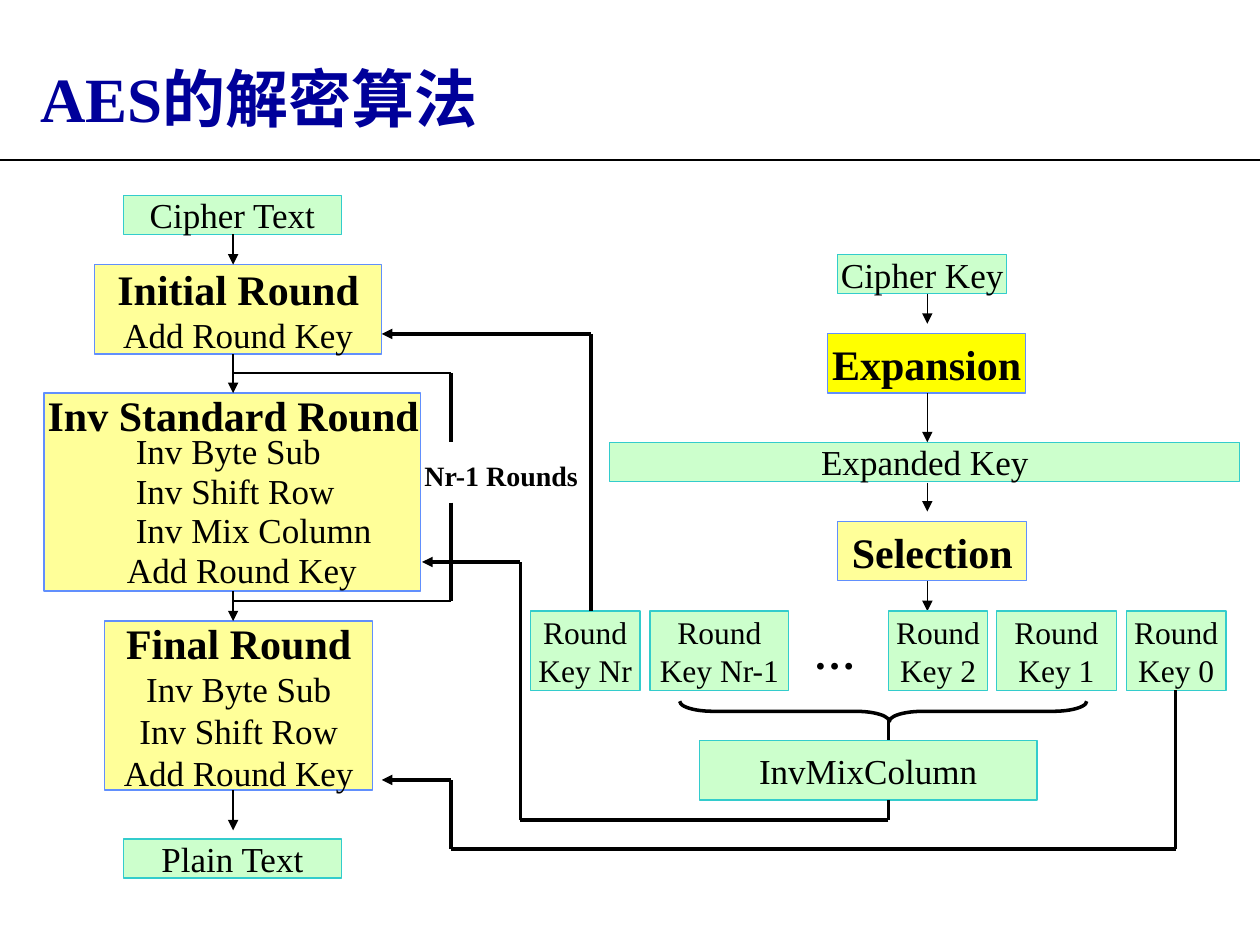
from itertools import pairwise

from lxml import etree
from pptx import Presentation
from pptx import util as u
from pptx.dml.color import RGBColor
from pptx.enum import shapes, text
from pptx.oxml import ns

BLACK = RGBColor(0x00, 0x00, 0x00)
NAVY = RGBColor(0x00, 0x00, 0x9A)
MINT = RGBColor(0xCC, 0xFF, 0xCC)
TEAL = RGBColor(0x33, 0xCC, 0xCC)
CREAM = RGBColor(0xFF, 0xFF, 0x99)
YELLOW = RGBColor(0xFF, 0xFF, 0x00)
BLUE = RGBColor(0x61, 0x8F, 0xFD)

FONT = "Times New Roman"
THIN, THICK = 0.75, 2
HEADING, BODY, KEY = 24, 20, 18


class Diagram:
    """Holds the style and the slide being drawn."""

    def __init__(self, slide):
        self.slide = slide
        self.shapes = slide.shapes

    def style(self, para, size, bold=False, color=BLACK):
        para.font.name = FONT
        para.font.size = u.Pt(size)
        para.font.bold = bold
        para.font.color.rgb = color

    def title(self, words, left, top, width, height):
        title = self.shapes.title
        title.left, title.top = u.Inches(left), u.Inches(top)
        title.width, title.height = u.Inches(width), u.Inches(height)
        frame = title.text_frame
        frame.text = words
        frame.word_wrap = True
        frame.auto_size = text.MSO_AUTO_SIZE.NONE
        frame.vertical_anchor = text.MSO_ANCHOR.TOP
        frame.paragraphs[0].alignment = text.PP_ALIGN.LEFT
        self.style(frame.paragraphs[0], 36, True, NAVY)

    def label(self, words, left, top, width, height, size=BODY, bold=False):
        box = self.shapes.add_textbox(*map(u.Inches, (left, top, width, height)))
        frame = box.text_frame
        frame.text = words
        frame.word_wrap = True
        self.style(frame.paragraphs[0], size, bold)

    def box(self, left, top, width, height, fill, border, heading=None, lines=(), size=BODY):
        box = self.shapes.add_shape(
            shapes.MSO_SHAPE.RECTANGLE, *map(u.Inches, (left, top, width, height)))
        box.shadow.inherit = False
        box.fill.solid()
        box.fill.fore_color.rgb = fill
        box.line.color.rgb = border
        box.line.width = u.Pt(THIN)
        frame = box.text_frame
        frame.word_wrap = False
        frame.vertical_anchor = text.MSO_ANCHOR.MIDDLE
        entries = [(heading, HEADING, True)] if heading else []
        entries += [(line, size, False) for line in lines]
        for index, (words, points, bold) in enumerate(entries):
            para = frame.add_paragraph() if index else frame.paragraphs[0]
            para.text = words
            para.alignment = text.PP_ALIGN.CENTER
            self.style(para, points, bold)

    def data(self, left, top, width, height, *lines, size=BODY):
        self.box(left, top, width, height, MINT, TEAL, lines=lines, size=size)

    def step(self, left, top, width, height, heading=None, *lines, fill=CREAM):
        self.box(left, top, width, height, fill, BLUE, heading, lines)

    def route(self, *points, weight=THICK, arrow=False):
        """Joins the points with straight lines; an arrow ends the last one."""
        for (x1, y1), (x2, y2) in pairwise(points):
            line = self.shapes.add_connector(
                shapes.MSO_CONNECTOR.STRAIGHT, *map(u.Inches, (x1, y1, x2, y2)))
            line.line.color.rgb = BLACK
            line.line.width = u.Pt(weight)
            if arrow and (x2, y2) == points[-1]:
                etree.SubElement(line.line._get_or_add_ln(), ns.qn("a:tailEnd"), type="triangle")
            etree.SubElement(line._element.spPr, ns.qn("a:effectLst"))

    def brace(self, left, top, width, height):
        brace = self.shapes.add_shape(
            shapes.MSO_SHAPE.LEFT_BRACE, *map(u.Inches, (left, top, width, height)))
        brace.rotation = 270
        brace.adjustments[0] = 1.67
        brace.adjustments[1] = 0.515
        brace.shadow.inherit = False
        brace.fill.background()
        brace.line.color.rgb = BLACK
        brace.line.width = u.Pt(THICK)


def main():
    deck = Presentation()
    deck.slide_width, deck.slide_height = u.Inches(10), u.Inches(7.5)
    page = Diagram(deck.slides.add_slide(deck.slide_layouts[5]))

    # Title and rule
    page.title("AES的解密算法", 0.22, 0.42, 4, 0.7)
    page.route((0, 1.27), (10, 1.27), weight=1.5)

    # Decryption rounds
    page.data(0.98, 1.55, 1.73, 0.31, "Cipher Text")
    page.step(0.75, 2.1, 2.28, 0.71, "Initial Round", "Add Round Key")
    page.step(0.35, 3.12, 2.99, 1.57)
    page.label("Inv Standard Round", 0.28, 3.04, 3.3, 0.5, HEADING, True)
    operations = [("Inv Byte Sub", 0.98), ("Inv Shift Row", 0.98),
                  ("Inv Mix Column", 0.98), ("Add Round Key", 0.91)]
    for row, (words, left) in enumerate(operations):
        page.label(words, left, 3.36 + row * 0.315, 2.2, 0.44)
    page.step(0.83, 4.93, 2.13, 1.34, "Final Round",
              "Inv Byte Sub", "Inv Shift Row", "Add Round Key")
    page.data(0.98, 6.66, 1.73, 0.31, "Plain Text")

    # Loop around the standard round
    page.route((1.85, 2.96), (3.58, 2.96), weight=THIN)
    page.route((3.58, 2.96), (3.58, 3.51))
    page.label("Nr-1 Rounds", 3.27, 3.59, 1.42, 0.37, 16, True)
    page.route((3.58, 3.99), (3.58, 4.77))
    page.route((3.58, 4.77), (1.85, 4.77), weight=THIN)

    # Key expansion
    page.data(6.65, 2.02, 1.34, 0.31, "Cipher Key")
    page.step(6.57, 2.65, 1.57, 0.47, "Expansion", fill=YELLOW)
    page.data(4.84, 3.51, 5, 0.31, "Expanded Key")
    page.step(6.65, 4.14, 1.5, 0.47, "Selection")

    # Downward arrows of both columns
    flows = {1.85: [(1.86, 2.1), (2.81, 3.12), (4.69, 4.93), (6.27, 6.59)],
             7.36: [(2.33, 2.57), (3.12, 3.51), (3.83, 4.06), (4.61, 4.85)]}
    for x, spans in flows.items():
        for start, end in spans:
            page.route((x, start), (x, end), weight=THIN, arrow=True)

    # Round keys
    round_keys = [("Nr", 4.21, 0.87), ("Nr-1", 5.16, 1.1), ("2", 7.05, 0.79),
                  ("1", 7.91, 0.95), ("0", 8.94, 0.79)]
    for number, left, width in round_keys:
        page.data(left, 4.85, width, 0.63, "Round", f"Key {number}", size=KEY)
    page.label("…", 6.36, 4.93, 0.53, 0.5, HEADING, True)

    # Inverse mixing of the middle keys
    page.brace(6.93, 4.03, 0.16, 3.23)
    page.route((7.05, 5.72), (7.05, 5.88))
    page.data(5.55, 5.88, 2.68, 0.47, "InvMixColumn")

    # Keys led to their rounds
    page.route((4.69, 4.85), (4.69, 2.65), (3.03, 2.65), arrow=True)
    page.route((7.05, 6.35), (7.05, 6.51), (4.13, 6.51), (4.13, 4.46), (3.35, 4.46), arrow=True)
    page.route((9.33, 5.48), (9.33, 6.74), (3.58, 6.74), (3.58, 6.19), (3.03, 6.19), arrow=True)

    deck.save("out.pptx")


if __name__ == "__main__":
    main()
